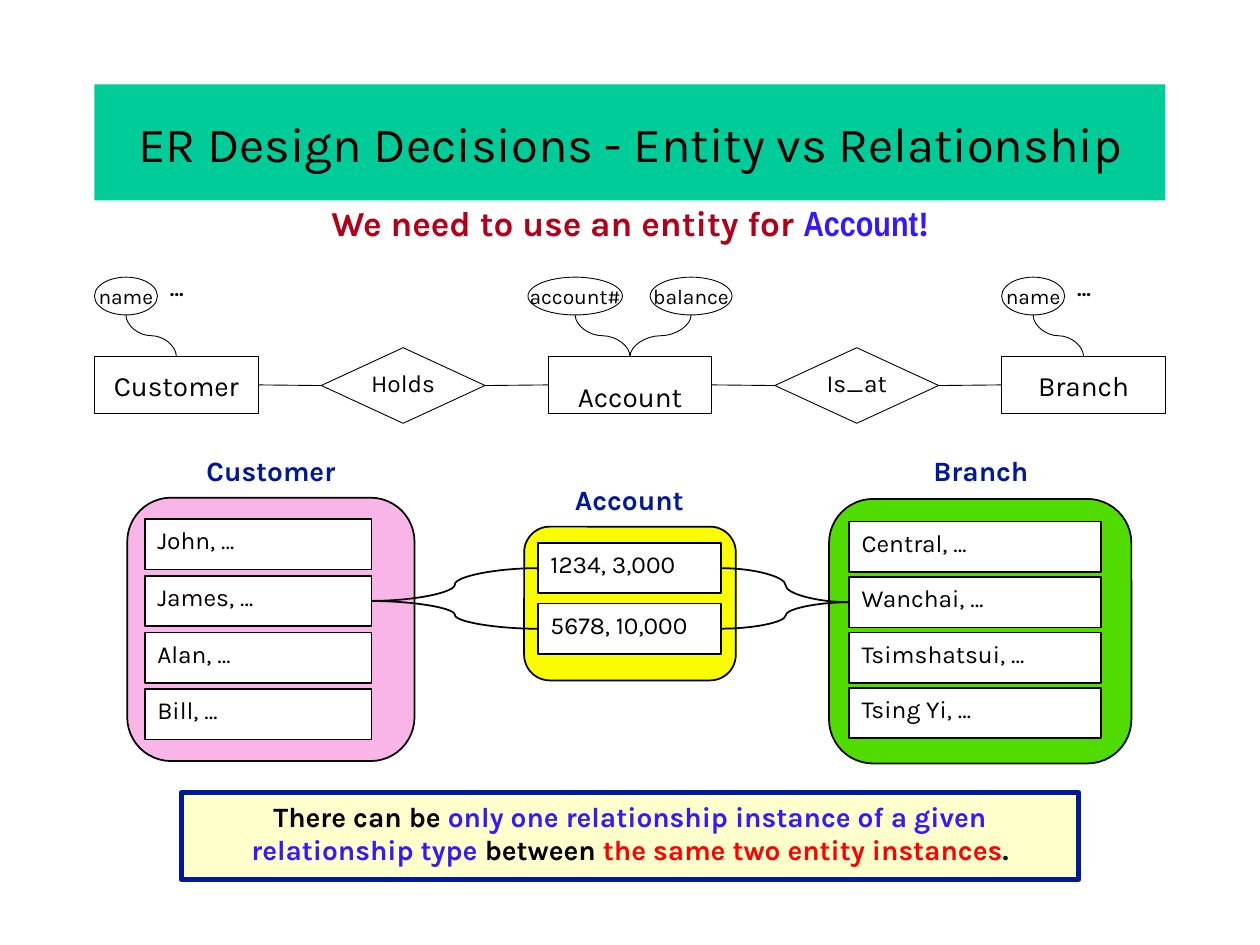
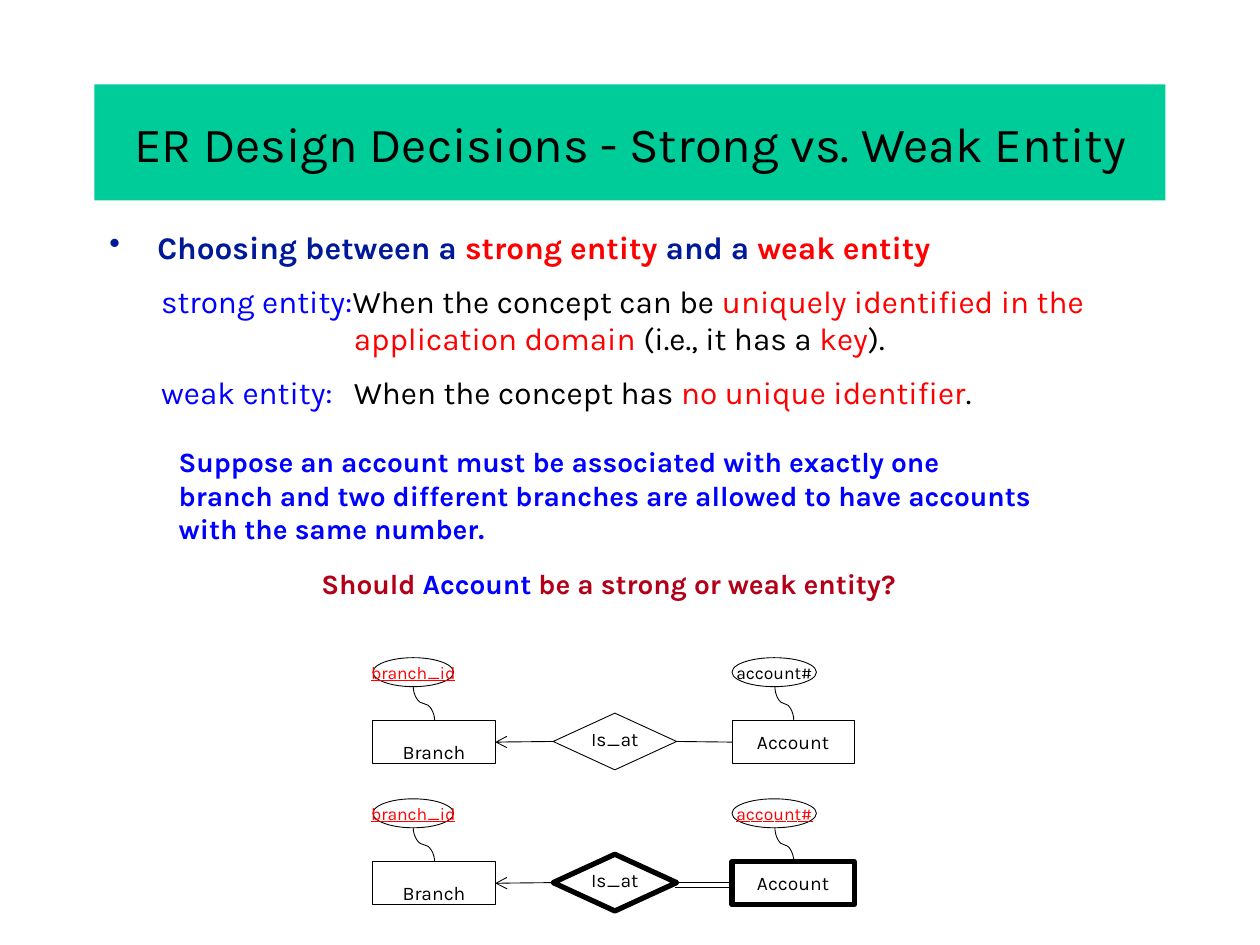
from dataclasses import dataclass
from lxml.etree import Element, SubElement
from pptx import Presentation
from pptx.dml.color import RGBColor
from pptx.enum.shapes import MSO_CONNECTOR, MSO_SHAPE
from pptx.enum.text import MSO_ANCHOR, MSO_UNDERLINE, PP_ALIGN
from pptx.oxml.ns import qn
from pptx.util import Inches, Pt


@dataclass(frozen=True)
class Theme:
    font: str = "Karla"
    narrow: str = "Arial Narrow"
    black: str = "000000"
    white: str = "FFFFFF"
    band: str = "00CC99"
    navy: str = "001999"
    violet: str = "3319FF"
    blue: str = "0000FF"
    maroon: str = "B30019"
    red: str = "FF0000"
    cream: str = "FFFFCC"
    pink: str = "F9B5E8"
    yellow: str = "FAFD00"
    green: str = "51DC00"
    title: int = 28
    lead: int = 20
    body: int = 18
    head: int = 16
    row: int = 14
    label: int = 12
    small: int = 11
    tiny: int = 10
    hair: float = 0.25
    thin: float = 0.5
    edge: float = 1
    thick: float = 3


T = Theme()
RECT, ROUND = MSO_SHAPE.RECTANGLE, MSO_SHAPE.ROUNDED_RECTANGLE
OVAL, GEM = MSO_SHAPE.OVAL, MSO_SHAPE.DIAMOND
MID, TOP, BOTTOM = MSO_ANCHOR.MIDDLE, MSO_ANCHOR.TOP, MSO_ANCHOR.BOTTOM
MIDDLE, LEFT = PP_ALIGN.CENTER, PP_ALIGN.LEFT


def put(page, kind, box, paras=(), size=T.head, fill=None, line=None, ink=T.black,
        bold=False, align=MIDDLE, anchor=MID, wrap=False):
    box = [Inches(n) for n in box]
    if kind is None:
        shape = page.shapes.add_textbox(*box)
    else:
        shape = page.shapes.add_shape(kind, *box)
        shape.shadow.inherit = False
        if fill:
            shape.fill.solid()
            shape.fill.fore_color.rgb = RGBColor.from_string(fill)
        else:
            shape.fill.background()
        if line:
            shape.line.width = Pt(line)
            shape.line.color.rgb = RGBColor.from_string(ink)
        else:
            shape.line.fill.background()
    frame = shape.text_frame
    frame.word_wrap = wrap
    frame.vertical_anchor = anchor
    for i, runs in enumerate(paras):
        para = frame.add_paragraph() if i else frame.paragraphs[0]
        para.alignment = align
        para.font.size = Pt(size)
        para.font.bold = bold
        para.font.name = T.font
        for text, tint, *face in runs:
            run = para.add_run()
            run.text = text
            font = run.font if len(runs) > 1 else para.font
            font.color.rgb = RGBColor.from_string(tint)
            if face:
                font.name = face[0]
    return shape


def link(page, start, end, width=T.thin, kind="line", ends=None, arrow=False):
    (x1, y1), (x2, y2) = start, end
    if kind == "drop":
        cx, cy, dx, dy = (x1 + x2) / 2, (y1 + y2) / 2, x2 - x1, y2 - y1
        x1, x2, y1, y2 = cx - dy / 2, cx + dy / 2, cy + dx / 2, cy - dx / 2
    form = MSO_CONNECTOR.STRAIGHT if kind == "line" else MSO_CONNECTOR.CURVE
    wire = page.shapes.add_connector(form, *[Inches(n) for n in (x1, y1, x2, y2)])
    wire.line.width = Pt(width)
    wire.line.color.rgb = RGBColor.from_string(T.black)
    props = wire.element.spPr
    if kind == "drop":
        props.find(qn("a:xfrm")).set("rot", "5400000")
    if arrow:
        SubElement(props.find(qn("a:ln")), qn("a:headEnd"), type="arrow")
    SubElement(props, qn("a:effectLst"))
    if ends:
        wire.begin_connect(ends[0], 3)
        wire.end_connect(ends[1], 1)


deck = Presentation()
deck.slide_width, deck.slide_height = Inches(10), Inches(7.5)
pages = []
for title in ("ER Design Decisions - Entity vs Relationship",
              "ER Design Decisions - Strong vs. Weak Entity"):
    page = deck.slides.add_slide(deck.slide_layouts[6])
    put(page, RECT, (0.75, 0.67, 8.5, 0.92), [[(title, T.black)]], T.title,
        fill=T.band, wrap=True)
    pages.append(page)
first, second = pages

put(first, None, (0.75, 1.55, 8.5, 0.43),
    [[("We need to use an entity for ", T.maroon), ("Account", T.violet, T.narrow),
      ("!", T.violet)]], T.lead, bold=True, anchor=TOP, wrap=True)

sets = [
    ("Account", (4.44, 3.78, 1.11, 0.37), (4.16, 4.18, 1.68, 1.22), T.yellow,
     (4.27, 4.31, 1.45, 0.48), ("1234, 3,000", "5678, 10,000")),
    ("Customer", (1.51, 3.55, 1.28, 0.37), (1.01, 3.95, 2.28, 2.09), T.pink,
     (1.15, 4.12, 1.8, 0.45), ("John, …", "James, …", "Alan, …", "Bill, …")),
    ("Branch", (7.29, 3.55, 0.99, 0.37), (6.58, 3.96, 2.4, 2.1), T.green,
     (6.74, 4.14, 2, 0.44), ("Central, …", "Wanchai, …", "Tsimshatsui, …", "Tsing Yi, …")),
]
for name, spot, box, fill, (left, top, wide, step), rows in sets:
    put(first, ROUND, box, fill=fill, line=T.edge)
    put(first, None, spot, [[(name, T.navy)]], bold=True, anchor=TOP)
    for i, row in enumerate(rows):
        put(first, RECT, (left, top + i * step, wide, 0.4), [[(row, T.black)]], T.row,
            fill=T.white, line=T.edge, align=LEFT, anchor=TOP, wrap=True)
for y in (4.51, 4.99):
    link(first, (2.95, 4.77), (4.27, y), T.edge, "curve")
    link(first, (5.73, y), (6.74, 4.78), T.edge, "curve")

put(first, RECT, (1.44, 6.29, 7.12, 0.69),
    [[("There can be ", T.black),
      ("only one relationship instance of a given relationship type", T.violet),
      (" between ", T.black), ("the same two entity instances", T.red),
      (".", T.black)]],
    fill=T.cream, line=T.thick, ink=T.navy, bold=True,
    wrap=True).text_frame.margin_bottom = Inches(0.1)

chain = []
for i, name in enumerate(("Customer", "Holds", "Account", "Is_at", "Branch")):
    x = 0.75 + 1.8 * i
    if i % 2:
        node = put(first, GEM, (x, 2.76, 1.3, 0.6), [[(name, T.black)]], T.row, line=T.thin)
        node.text_frame.paragraphs[0].line_spacing = 0.75
    else:
        node = put(first, RECT, (x, 2.83, 1.3, 0.45), [[(name, T.black)]], line=T.thin)
    chain.append(node)
    if i:
        link(first, (x - 0.5, 3.06), (x, 3.06), ends=chain[-2:])
low = chain[2].text_frame
low.vertical_anchor, low.margin_bottom = BOTTOM, 0

for name, x, wide, foot in (("name", 0.75, 0.5, 1.4), ("account#", 4.19, 0.75, 5),
                            ("balance", 5.16, 0.65, 5), ("name", 7.95, 0.5, 8.6)):
    put(first, OVAL, (x, 2.2, wide, 0.3), [[(name, T.black)]], T.label, line=T.thin)
    link(first, (x + wide / 2, 2.5), (foot, 2.83), kind="drop")
    if name == "name":
        put(first, None, (x + wide, 2.14, 0.37, 0.3), [[("…", T.black)]], T.label,
            bold=True, align=LEFT, anchor=TOP)

body = put(second, None, (0.77, 1.76, 8.5, 1.58), [
    [("Choosing between a ", T.navy), ("strong entity ", T.red), ("and a ", T.navy),
     ("weak entity", T.red)],
    [("strong entity:", T.blue), ("When the concept can be ", T.black),
     ("uniquely identified in the application domain", T.red),
     (" (i.e., it has a ", T.black), ("key", T.red), (").", T.black)],
    [("weak entity:", T.blue), ("\tWhen the concept has ", T.black),
     ("no unique identifier", T.red), (".", T.black)],
], T.body, bold=True, align=LEFT, anchor=TOP, wrap=True)
for i, para in enumerate(body.text_frame.paragraphs):
    props = para._p.get_or_add_pPr()
    left, hang = (1.94, -1.53) if i else (0.38, -0.38)
    props.set("marL", str(Inches(left)))
    props.set("indent", str(Inches(hang)))
    if i:
        para.font.bold = False
        para.space_before = Pt(9)
    else:
        props.insert(0, Element(qn("a:buChar"), char="•"))

case = put(second, None, (1.32, 3.48, 7.02, 1.35), [
    [("Suppose an account must be associated with exactly one branch and two different "
      "branches are allowed to have accounts with the same number.", T.blue)],
    [("Should ", T.maroon), ("Account ", T.blue),
     ("be a strong or weak entity?", T.maroon)],
], bold=True, align=LEFT, anchor=TOP, wrap=True)
query = case.text_frame.paragraphs[1]
query.alignment, query.space_before = MIDDLE, Pt(12)

for y, weak in ((5.22, False), (6.34, True)):
    heavy = T.thick if weak else T.thin
    branch = put(second, RECT, (2.96, y + 0.5, 0.97, 0.34), [[("Branch", T.black)]],
                 T.small, line=T.thin, anchor=BOTTOM)
    branch.text_frame.margin_bottom = 0
    gem = put(second, GEM, (4.39, y + 0.44, 0.98, 0.45), [[("Is_at", T.black)]],
              T.small, line=heavy)
    gem.text_frame.paragraphs[0].line_spacing = 0.75
    account = put(second, RECT, (5.81, y + 0.5, 0.97, 0.34), [[("Account", T.black)]],
                  T.small, line=heavy)
    key = put(second, OVAL, (2.96, y, 0.64, 0.23), [[("branch_id", T.red)]],
              T.tiny, line=T.thin)
    key.text_frame.paragraphs[0].font.underline = True
    part = put(second, OVAL, (5.81, y, 0.67, 0.23),
               [[("account#", T.red if weak else T.black)]], T.tiny, line=T.thin)
    link(second, (3.28, y + 0.23), (3.45, y + 0.5), kind="drop")
    link(second, (6.15, y + 0.23), (6.3, y + 0.5), kind="drop")
    link(second, (3.93, y + 0.67), (4.39, y + 0.67), ends=(branch, gem), arrow=True)
    if weak:
        part.text_frame.paragraphs[0].font.underline = MSO_UNDERLINE.DOTTED_LINE
        link(second, (5.34, 7), (5.79, 7), T.hair)
        link(second, (5.36, 7.04), (5.81, 7.04), T.hair)
    else:
        link(second, (5.37, y + 0.67), (5.81, y + 0.67), ends=(gem, account))

deck.save("out.pptx")
